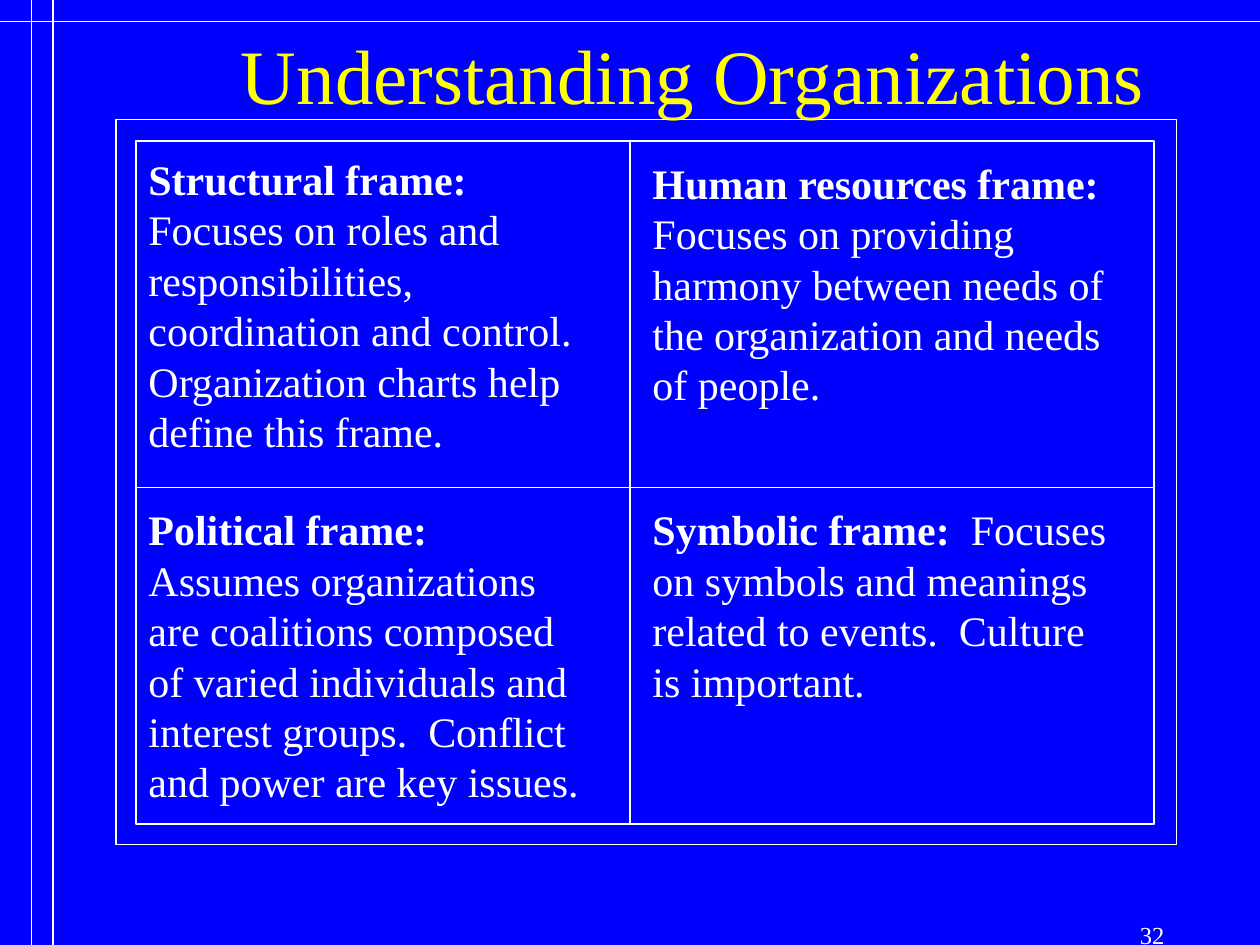
from lxml import etree
from pptx import Presentation
from pptx.dml.color import RGBColor
from pptx.enum.shapes import MSO_CONNECTOR, MSO_SHAPE
from pptx.enum.text import MSO_ANCHOR, PP_ALIGN
from pptx.oxml.ns import qn
from pptx.util import Inches, Pt

RECTANGLE = MSO_SHAPE.RECTANGLE
STRAIGHT = MSO_CONNECTOR.STRAIGHT
LEFT, CENTER, RIGHT = PP_ALIGN.LEFT, PP_ALIGN.CENTER, PP_ALIGN.RIGHT

# Content
TITLE = "Understanding Organizations"
PAGE_NUMBER = "32"
# heading, description, (left, top, width, height)
FRAMES = [
    ("Structural frame:",
     "  Focuses on roles and responsibilities, coordination and control. "
     "Organization charts help define this frame.",
     (1.08, 1.17, 3.83, 2.5)),
    ("Human resources frame:",
     "  Focuses on providing harmony between needs of the organization "
     "and needs of people.",
     (5.08, 1.2, 3.92, 2.1)),
    ("Political frame:",
     "  Assumes organizations are coalitions composed of varied individuals "
     "and interest groups.  Conflict and power are key issues.",
     (1.08, 3.95, 3.75, 2.5)),
    ("Symbolic frame:",
     "  Focuses on symbols and meanings related to events.  "
     "Culture is important.",
     (5.08, 3.95, 3.92, 1.7)),
]

# Style and geometry
FONT = "Times New Roman"
BLUE, WHITE, YELLOW = "0000FF", "FFFFFF", "FFFF00"
PAGE_WIDTH, PAGE_HEIGHT = 10, 7.5
GRID = (1.08, 1.12, 8.08, 5.42)
BORDER = (0.92, 0.95, 8.42, 5.75)
COLUMN_SPLIT, ROW_SPLIT = 5, 3.87
GRID_RIGHT, GRID_BOTTOM = GRID[0] + GRID[2], GRID[1] + GRID[3]


def color(value):
    return RGBColor.from_string(value)


def style_line(line):
    line.color.rgb = color(WHITE)
    line.width = Pt(0.75)


def add_line(page, *ends):
    connector = page.shapes.add_connector(STRAIGHT, *map(Inches, ends))
    style_line(connector.line)
    etree.SubElement(connector._element.spPr, qn("a:effectLst"))


def add_outline(page, place):
    outline = page.shapes.add_shape(RECTANGLE, *map(Inches, place))
    outline.shadow.inherit = False
    outline.fill.background()
    style_line(outline.line)


def style_paragraph(paragraph, size, text_color, align):
    paragraph.alignment = align
    paragraph.font.name = FONT
    paragraph.font.size = Pt(size)
    paragraph.font.color.rgb = color(text_color)


def add_text(page, place, size, align):
    box = page.shapes.add_textbox(*map(Inches, place))
    box.text_frame.word_wrap = True
    paragraph = box.text_frame.paragraphs[0]
    style_paragraph(paragraph, size, WHITE, align)
    return paragraph


def main():
    deck = Presentation()
    deck.slide_width, deck.slide_height = Inches(PAGE_WIDTH), Inches(PAGE_HEIGHT)
    page = deck.slides.add_slide(deck.slide_layouts[5])
    page.background.fill.solid()
    page.background.fill.fore_color.rgb = color(BLUE)

    # Page rules
    for x in (0.42, 0.25):
        add_line(page, x, 0, x, PAGE_HEIGHT)
    add_line(page, 0, 0.17, PAGE_WIDTH, 0.17)

    # Title
    title = page.shapes.title
    title.left, title.top, title.width, title.height = map(Inches, (1, 0, 9, 1.17))
    title.text_frame.text = TITLE
    title.text_frame.vertical_anchor = MSO_ANCHOR.MIDDLE
    style_paragraph(title.text_frame.paragraphs[0], 44, YELLOW, CENTER)

    # Grid of four frames
    add_outline(page, GRID)
    add_line(page, COLUMN_SPLIT, GRID[1], COLUMN_SPLIT, GRID_BOTTOM)
    add_line(page, GRID[0], ROW_SPLIT, GRID_RIGHT, ROW_SPLIT)
    for heading, description, place in FRAMES:
        paragraph = add_text(page, place, 24, LEFT)
        paragraph.line_spacing = Pt(28.8)
        for text, bold in ((heading, True), (description, False)):
            span = paragraph.add_run()
            span.text = text
            span.font.bold = bold
    add_outline(page, BORDER)

    # Page number
    number = add_text(page, (7.92, 7.25, 1.42, 0.25), 14, RIGHT)
    number.add_run().text = PAGE_NUMBER

    deck.save("out.pptx")


if __name__ == "__main__":
    main()
